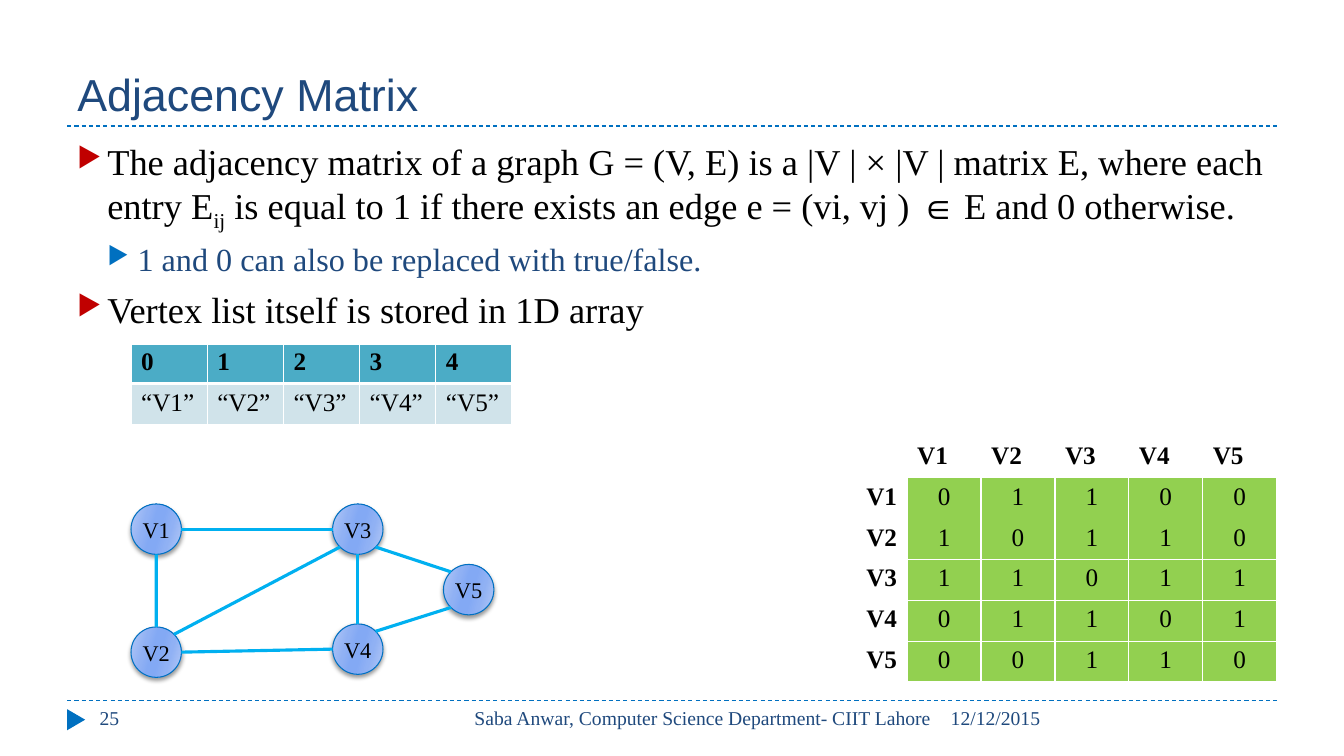
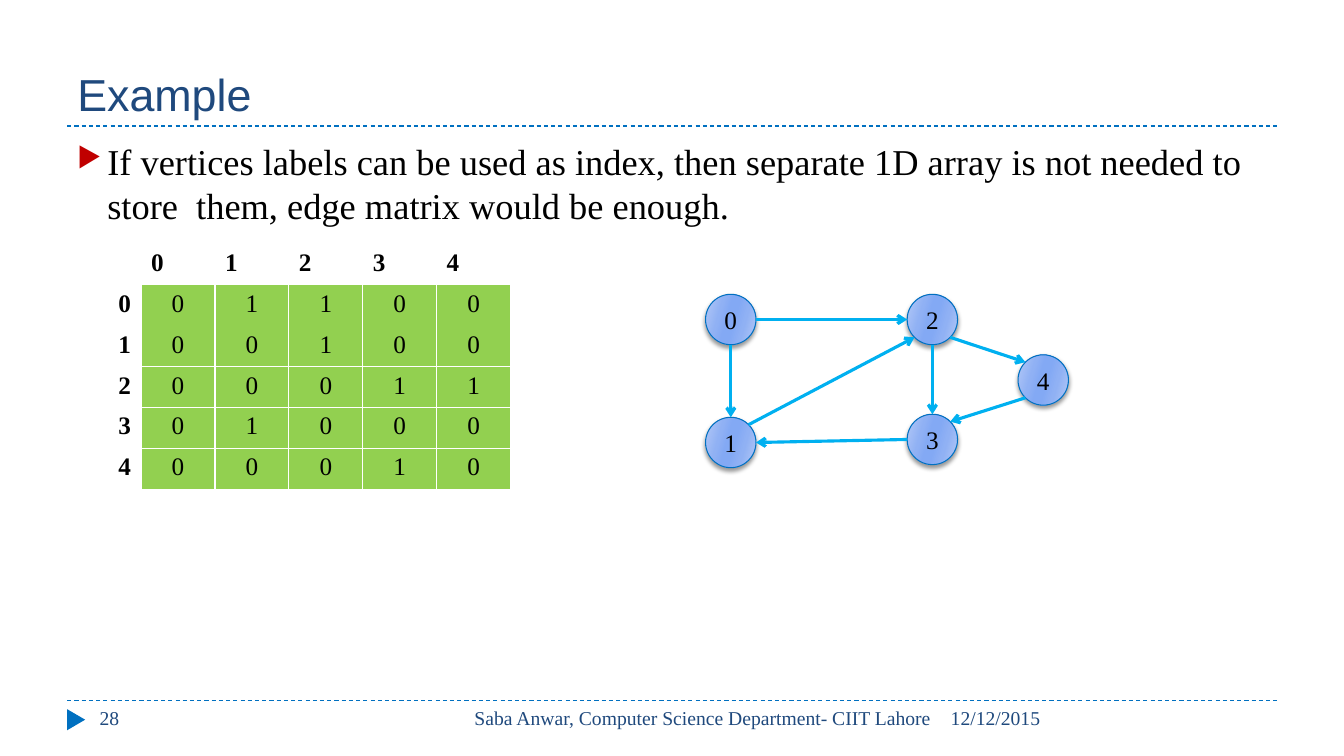
import math

import lxml.etree
import pptx
import pptx.dml.color
import pptx.enum.dml
import pptx.enum.shapes
import pptx.enum.text
import pptx.oxml.ns
import pptx.util

RGB = pptx.dml.color.RGBColor
NAVY = RGB(0x1F, 0x49, 0x7D)
BLUE = RGB(0x00, 0x70, 0xC0)
SKY = RGB(0x00, 0xB0, 0xF0)
RED = RGB(0xC0, 0x00, 0x00)
GREEN = RGB(0x92, 0xD0, 0x50)
TEAL = RGB(0x4B, 0xAC, 0xC6)
PALE = RGB(0xD0, 0xE3, 0xEA)
BLACK = RGB(0x00, 0x00, 0x00)
WHITE = RGB(0xFF, 0xFF, 0xFF)
LIGHT = RGB(0xB4, 0xC9, 0xF6)
MID = RGB(0x90, 0xB1, 0xF4)
DEEP = RGB(0x83, 0xA9, 0xF4)
GLOW = [(0, LIGHT), (30, MID), (45, DEEP), (55, DEEP), (73, MID), (100, LIGHT)]

SERIF, SANS = "Times New Roman", "Arial"
COLS, ROWS = 40, 22.5
LEFT, SPAN = 2, 36
HEAD, FOOT = 3.75, 20.85
NODE = 1.5
SPOTS = [(0, 0), (0, 3.66), (6, 0), (6, 3.57), (9.3, 1.8)]
EDGES = [(0, 6, 2, 2), (3, 2, 1, 6), (4, 3, 3, 7), (0, 4, 1, 0),
         (1, 7, 2, 3), (2, 5, 4, 1), (2, 4, 3, 0)]
LEVELS = [(26, BLACK, RED, 6), (23, NAVY, BLUE, 5)]
PLAIN = "{2D5ABB26-0587-4C30-8999-92F81FD0307C}"
ALIGN = pptx.enum.text.PP_ALIGN
SHAPE = pptx.enum.shapes.MSO_SHAPE


def grid(*units):
    """Turn grid units into slide lengths."""
    return [pptx.util.Inches(unit / 3) for unit in units]


def add(parent, tag, **attrs):
    """Append a drawing element with its attributes."""
    texts = {key: str(val) for key, val in attrs.items()}
    return lxml.etree.SubElement(parent, pptx.oxml.ns.qn("a:" + tag), texts)


def write(para, text, size=18, color=BLACK, font=SERIF, bold=False,
          align=None, base=0):
    """Add one formatted run to a paragraph."""
    run = para.add_run()
    run.text = text
    run.font.name, run.font.size, run.font.bold = font, pptx.util.Pt(size), bold
    run.font.color.rgb = color
    if base:
        run.font._element.set("baseline", str(base * 1000))
    if align is not None:
        para.alignment = align


def label(slide, box, text, **form):
    """Place a wrapped text box with one line of text."""
    frame = slide.shapes.add_textbox(*grid(*box)).text_frame
    frame.word_wrap = True
    write(frame.paragraphs[0], text, **form)


def link(slide, ends, color, width):
    """Draw a straight line without a shadow."""
    kind = pptx.enum.shapes.MSO_CONNECTOR.STRAIGHT
    line = slide.shapes.add_connector(kind, *grid(*ends))
    line.line.color.rgb = color
    line.line.width = pptx.util.Pt(width)
    add(line._element.spPr, "effectLst")
    return line


def frame(deck, title, number):
    """Start a slide with its title, rules and footer."""
    slide = deck.slides.add_slide(deck.slide_layouts[5])
    head = slide.shapes.title
    head.left, head.top, head.width, head.height = grid(LEFT, 0.5, SPAN, HEAD - 0.5)
    head.text_frame.vertical_anchor = pptx.enum.text.MSO_ANCHOR.BOTTOM
    write(head.text_frame.paragraphs[0], title, size=32, color=NAVY,
          font=SANS, align=ALIGN.LEFT)
    for row in (HEAD, FOOT):
        rule = link(slide, (LEFT, row, LEFT + SPAN, row), BLUE, 0.75)
        rule.line.dash_style = pptx.enum.dml.MSO_LINE.DASH
    mark = slide.shapes.add_shape(SHAPE.ISOSCELES_TRIANGLE,
                                  *grid(1.95, FOOT + 0.3, 0.63, 0.54))
    mark.rotation = 90
    mark.shadow.inherit = False
    mark.fill.solid()
    mark.fill.fore_color.rgb = BLUE
    mark.line.fill.background()
    for left, width, text, align in (
            (28, 10, "12/12/2015", ALIGN.LEFT),
            (12.68, 15.33, "Saba Anwar, Computer Science Department- CIIT Lahore",
             ALIGN.RIGHT),
            (2.67, 8.67, number, ALIGN.LEFT)):
        label(slide, (left, FOOT, width, 1.2), text, size=14, color=NAVY, align=align)
    return slide


def body(slide, box, items):
    """Place bulleted paragraphs, each a level and its runs."""
    area = slide.shapes.add_textbox(*grid(*box)).text_frame
    area.word_wrap = True
    for at, (level, runs) in enumerate(items):
        size, color, tint, gap = LEVELS[level]
        para = area.paragraphs[0] if at == 0 else area.add_paragraph()
        props = para._p.get_or_add_pPr()
        props.set("marL", str(pptx.util.Inches(0.3 * (level + 1))))
        props.set("indent", str(pptx.util.Inches(-0.3)))
        add(add(props, "buClr"), "srgbClr", val=tint)
        add(props, "buSzPct", val=76000)
        add(props, "buChar", char="▶")
        para.level = level
        if at:
            para.space_before = pptx.util.Pt(gap)
        for text, base in runs:
            write(para, text, size=size, color=color, base=base)


def table(slide, box, rows, cols):
    """Place a table with no style and equal cells."""
    made = slide.shapes.add_table(rows, cols, *grid(*box)).table
    made.first_row = made.horz_banding = False
    made._tbl.tblPr.find(pptx.oxml.ns.qn("a:tableStyleId")).text = PLAIN
    return made


def paint(cell, fill, sides):
    """Give a cell white borders, by side and width, and a fill."""
    props = cell._tc.get_or_add_tcPr()
    for side in "LRTB":
        if side in sides:
            edge = add(props, "ln" + side, w=pptx.util.Pt(sides[side]))
            add(add(edge, "solidFill"), "srgbClr", val=WHITE)
    cell.fill.solid()
    cell.fill.fore_color.rgb = fill


def array(slide, box, names):
    """Place the vertex list under its row of indices."""
    made = table(slide, box, 2, len(names))
    for col, name in enumerate(names):
        for row, (text, fill, base) in enumerate(
                ((str(col), TEAL, 3), (f"“{name}”", PALE, 1))):
            cell = made.cell(row, col)
            paint(cell, fill, dict(L=1, R=1, T=base, B=base))
            write(cell.text_frame.paragraphs[0], text, bold=row == 0)


def matrix(slide, box, names, lines):
    """Place an edge matrix with bold names on top and at the left."""
    made = table(slide, box, len(names) + 1, len(names) + 1)
    for at, name in enumerate(names, 1):
        write(made.cell(0, at).text_frame.paragraphs[0], name, bold=True)
        write(made.cell(at, 0).text_frame.paragraphs[0], name, bold=True,
              align=ALIGN.RIGHT)
        for col, digit in enumerate(lines[at - 1], 1):
            cell = made.cell(at, col)
            sides = dict(L=1, R=1)
            if at > 1:
                sides["B"] = 1
            if at > 2:
                sides["T"] = 1
            paint(cell, GREEN, sides)
            write(cell.text_frame.paragraphs[0], digit, align=ALIGN.CENTER)


def node(slide, left, top, name, size):
    """Draw one shaded vertex with its name."""
    ball = slide.shapes.add_shape(SHAPE.OVAL, *grid(left, top, NODE, NODE))
    ball.fill.gradient()
    blend = ball._element.spPr.find(pptx.oxml.ns.qn("a:gradFill"))
    for part in list(blend):
        blend.remove(part)
    stops = add(blend, "gsLst")
    for share, color in GLOW:
        add(add(stops, "gs", pos=share * 1000), "srgbClr", val=color)
    add(blend, "lin", ang=16 * 60000, scaled=0)
    ball.line.color.rgb = BLUE
    ball.line.width = pptx.util.Pt(0.75)
    ball.shadow.inherit = False
    effect = ball._element.spPr.find(pptx.oxml.ns.qn("a:effectLst"))
    shade = add(effect, "outerShdw", blurRad=pptx.util.Pt(3),
                dist=pptx.util.Pt(2), dir=90 * 60000, rotWithShape=0)
    add(add(shade, "srgbClr", val=BLACK), "alpha", val=40000)
    ball.text_frame.word_wrap = False
    ball.text_frame.vertical_anchor = pptx.enum.text.MSO_ANCHOR.MIDDLE
    write(ball.text_frame.paragraphs[0], name, size=size, align=ALIGN.CENTER)
    return ball


def graph(slide, left, top, names, size, arrows=False):
    """Draw the vertices and join them at sites counted from the top."""
    balls = [node(slide, left + x, top + y, name, size)
             for (x, y), name in zip(SPOTS, names)]

    def site(at, turn):
        """Find a joining point on the rim of a vertex."""
        x, y = SPOTS[at]
        angle = math.radians(45 * turn)
        return (left + x + NODE / 2 * (1 - math.sin(angle)),
                top + y + NODE / 2 * (1 - math.cos(angle)))

    for start, out, stop, into in EDGES:
        line = link(slide, site(start, out) + site(stop, into), SKY, 2.25)
        joint = line._element.nvCxnSpPr.cNvCxnSpPr
        add(joint, "stCxn", id=balls[start].shape_id, idx=out)
        add(joint, "endCxn", id=balls[stop].shape_id, idx=into)
        if arrows:
            add(line.line._get_or_add_ln(), "tailEnd", type="arrow")


def main():
    """Build both slides and save them."""
    deck = pptx.Presentation()
    deck.slide_width, deck.slide_height = grid(COLS, ROWS)
    area = (LEFT, 4, SPAN, 16.2)

    slide = frame(deck, "Adjacency Matrix", "25")
    names = ["V1", "V2", "V3", "V4", "V5"]
    body(slide, area, [
        (0, [("The adjacency matrix of a graph G = (V, E) is a |V | × |V | matrix E, "
              "where each entry E", 0), ("ij", -25),
             (" is equal to 1 if there exists an edge e = (vi, vj ) ∈ E "
              "and 0 otherwise.", 0)]),
        (1, [("1 and 0 can also be replaced with true/false.", 0)]),
        (0, [("Vertex list itself is stored in 1D array", 0)])])
    matrix(slide, (24.8, 13, 13.2, 7.3), names,
           ["01100", "10110", "11011", "01101", "00110"])
    graph(slide, 3.9, 15, names, 16)
    array(slide, (3.9, 10.2, 11.34, 2.43), names)

    slide = frame(deck, "Example", "28")
    body(slide, area, [
        (0, [("If vertices labels can be used as index, then separate 1D array is "
              "not needed to store  them, edge matrix would be enough.", 0)])])
    matrix(slide, (LEFT, 7.26, 13.2, 7.3), "01234",
           ["01100", "00100", "00011", "01000", "00010"])
    graph(slide, 21, 8.76, "01234", 18, arrows=True)

    deck.save("out.pptx")


if __name__ == "__main__":
    main()
